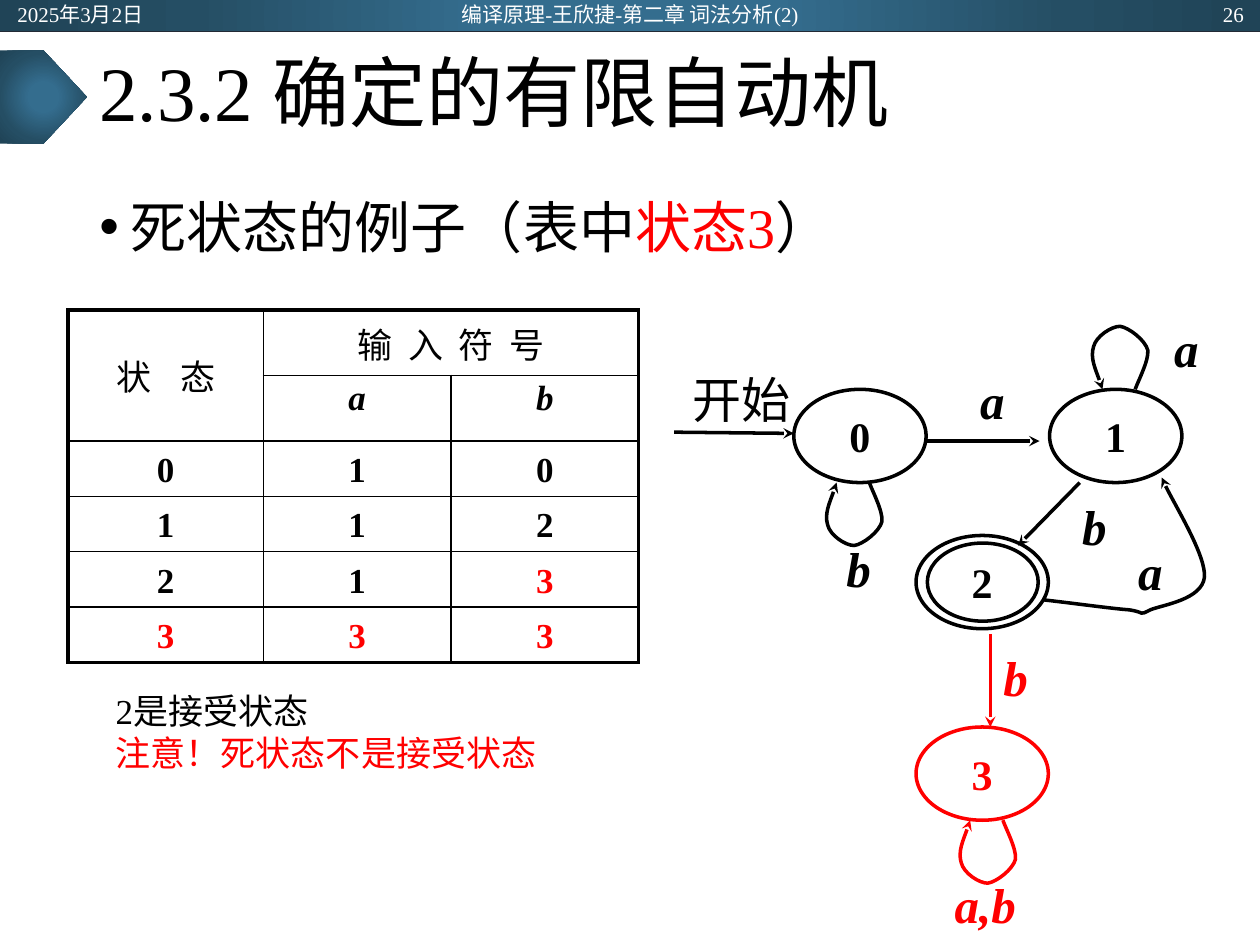
"""Build a slide on dead states in a deterministic finite automaton."""
from lxml.etree import SubElement
from pptx import Presentation
from pptx.dml.color import RGBColor
from pptx.enum.shapes import MSO_CONNECTOR, MSO_SHAPE
from pptx.enum.text import MSO_ANCHOR, PP_ALIGN
from pptx.oxml.ns import qn
from pptx.util import Inches, Pt

COLORS = {"black": "000000", "red": "FF0000", "white": "FFFFFF", "rule": "222A35",
          "light": "346D8E", "mid": "254E64", "dark": "204457"}
LATIN, CJK = "Times New Roman", "Noto Sans CJK SC"


def write(holder, text, size=28, color="black", bold=False, italic=False, align=PP_ALIGN.LEFT,
          anchor=None, inset=None, wrap=None, font=LATIN, spacing=0, new_line=False):
    frame = holder.text_frame
    if wrap is not None:
        frame.word_wrap = wrap
    if anchor is not None:
        frame.vertical_anchor = anchor
    if inset is not None:
        frame.margin_left = frame.margin_right = Inches(inset[0])
        frame.margin_top = frame.margin_bottom = Inches(inset[1])
    paragraph = frame.add_paragraph() if new_line else frame.paragraphs[-1]
    paragraph.alignment = align
    run = paragraph.add_run()
    run.text = text
    run.font.size, run.font.bold, run.font.italic = Pt(size), bold, italic
    run.font.color.rgb = RGBColor.from_string(COLORS[color])
    run.font.name = font
    properties = run.font._element
    SubElement(properties, qn("a:ea"), typeface=CJK)
    if spacing:
        properties.set("spc", str(int(spacing * 100)))
    return paragraph


def stroke(shape, color="black", width=2, arrow=False):
    shape.line.color.rgb = RGBColor.from_string(COLORS[color])
    shape.line.width = Pt(width)
    if arrow:
        SubElement(shape.line._get_or_add_ln(), qn("a:tailEnd"), type="stealth")
    SubElement(shape._element.spPr, qn("a:effectLst"))


deck = Presentation()
deck.slide_width, deck.slide_height = Inches(10), Inches(7.5)
slide = deck.slides.add_slide(deck.slide_layouts[6])
shapes = slide.shapes

for kind, at in [(MSO_SHAPE.RECTANGLE, (0, 0, 10, 0.25)),
                 (MSO_SHAPE.PENTAGON, (0, 0.4, 0.69, 0.74))]:
    band = shapes.add_shape(kind, *map(Inches, at))
    band.shadow.inherit = False
    band.line.fill.background()
    band.fill.gradient()
    gradient = band._element.spPr.find(qn("a:gradFill"))
    for child in list(gradient):
        gradient.remove(child)
    stops = SubElement(gradient, qn("a:gsLst"))
    for position, shade in [(0, "light"), (23, "light"), (69, "mid"), (97, "dark")]:
        stop = SubElement(stops, qn("a:gs"), pos=str(position * 1000))
        SubElement(stop, qn("a:srgbClr"), val=COLORS[shade])
    circle = SubElement(gradient, qn("a:path"), path="circle")
    SubElement(circle, qn("a:fillToRect"), {side: "50000" for side in "ltrb"})

header_rule = shapes.add_connector(MSO_CONNECTOR.STRAIGHT, 0, Inches(0.25), Inches(10), Inches(0.25))
stroke(header_rule, "rule", 0.5)

for text, left, width, align in [
        ("2025年3月2日", 0.04, 2.25, PP_ALIGN.LEFT),
        ("编译原理-王欣捷-第二章 词法分析(2)", 3.31, 3.38, PP_ALIGN.CENTER),
        ("26", 7.72, 2.25, PP_ALIGN.RIGHT)]:
    header = shapes.add_textbox(Inches(left), Inches(0.01), Inches(width), Inches(0.2))
    write(header, text, size=12, color="white", align=align, anchor=MSO_ANCHOR.MIDDLE, wrap=True)

title = shapes.add_textbox(Inches(0.69), Inches(0.25), Inches(8.62), Inches(1.04))
write(title, "2.3.2 确定的有限自动机", size=44, anchor=MSO_ANCHOR.MIDDLE, wrap=True).line_spacing = 0.9

example = shapes.add_textbox(Inches(0.69), Inches(1.37), Inches(8.62), Inches(6.13))
bullet = example.text_frame.paragraphs[0]._p.get_or_add_pPr()
bullet.set("marL", str(Inches(0.25)))
bullet.set("indent", str(-Inches(0.25)))
SubElement(bullet, qn("a:buFont"), typeface="Arial")
SubElement(bullet, qn("a:buChar"), char="•")
for text, color in [("死状态的例子（表中", "black"), ("状态3", "red"), ("）", "black")]:
    write(example, text, size=32, color=color, wrap=True).line_spacing = 1.2

rows = [("状 态", "输 入 符 号", ""), ("", "a", "b"),
        ("0", "1", "0"), ("1", "1", "2"), ("2", "1", "3"), ("3", "3", "3")]
transitions = shapes.add_table(6, 3, Inches(0.54), Inches(2.46), Inches(4.53), Inches(2.8)).table
transitions.first_row = transitions.horz_banding = False
for column, width in zip(transitions.columns, (1.55, 1.49, 1.49)):
    column.width = Inches(width)
for row, height in zip(transitions.rows, (0.52, 0.52, 0.44, 0.44, 0.44, 0.44)):
    row.height = Inches(height)
transitions.cell(0, 0).merge(transitions.cell(1, 0))
transitions.cell(0, 1).merge(transitions.cell(0, 2))
for r, row in enumerate(rows):
    for c, text in enumerate(row):
        cell = transitions.cell(r, c)
        side, top, bottom = [(0.12, 0.06, 0.06), (0.05, 0.03, 0.03), (0, 0.08, 0)][min(r, 2)]
        cell.margin_left = cell.margin_right = Inches(side)
        cell.margin_top, cell.margin_bottom = Inches(top), Inches(bottom)
        cell.vertical_anchor = MSO_ANCHOR.MIDDLE if r == c == 0 else MSO_ANCHOR.TOP
        if text:
            write(cell, text, size=20, color="red" if text == "3" else "black",
                  bold=r > 0, italic=r == 1, align=PP_ALIGN.CENTER,
                  font=LATIN if r else CJK, spacing=0 if r else (6, 2.2)[c])
        outer = {"L": c == 0, "R": c + cell.span_width == 3,
                 "T": r == 0, "B": r + cell.span_height == 6}
        borders = cell._tc.get_or_add_tcPr()
        for edge, is_outer in outer.items():
            border = SubElement(borders, qn(f"a:ln{edge}"), w=str(Pt(2.25 if is_outer else 1)))
            ink = SubElement(border, qn("a:solidFill"))
            SubElement(ink, qn("a:srgbClr"), val=COLORS["black"])
        cell.fill.background()

note = shapes.add_textbox(Inches(0.82), Inches(5.42), Inches(3.57), Inches(0.77))
write(note, "2是接受状态", size=20, wrap=False)
write(note, "注意！死状态不是接受状态", size=20, color="red", new_line=True)

for state, left, top, width, height, color in [
        ("0", 6.3, 3.09, 1.05, 0.74, "black"), ("1", 8.33, 3.09, 1.05, 0.74, "black"),
        ("2", 7.27, 4.25, 1.05, 0.74, "black"), ("", 7.36, 4.31, 0.88, 0.62, "black"),
        ("3", 7.27, 5.77, 1.05, 0.74, "red")]:
    node = shapes.add_shape(MSO_SHAPE.OVAL, *map(Inches, (left, top, width, height)))
    node.fill.background()
    stroke(node, color)
    if state:
        write(node, state, size=24, color=color, bold=True, align=PP_ALIGN.CENTER,
              anchor=MSO_ANCHOR.MIDDLE, inset=(0.04, 0.02), wrap=False)

for ends, color in [((5.35, 3.43, 6.3, 3.44), "black"), ((7.35, 3.5, 8.25, 3.5), "black"),
                    ((8.57, 3.83, 8.08, 4.33), "black"), ((7.86, 5.03, 7.86, 5.77), "red")]:
    move = shapes.add_connector(MSO_CONNECTOR.STRAIGHT, *map(Inches, ends))
    stroke(move, color, arrow=True)

loop = [(0, 0), (0.02, 0.06), (0.11, 0.23), (0.1, 0.31), (0.08, 0.39), (-0.05, 0.49), (-0.12, 0.5),
        (-0.19, 0.5), (-0.31, 0.42), (-0.33, 0.34), (-0.36, 0.25), (-0.28, 0.07), (-0.26, 0)]
curves = [([(x + dx, y + way * dy) for dx, dy in loop], color)
          for x, y, way, color in [(6.9, 3.83, 1, "black"), (9.01, 3.09, -1, "black"),
                                   (7.96, 6.51, 1, "red")]]
curves.append(([(8.27, 4.76), (8.54, 4.79), (8.82, 4.83), (8.96, 4.84), (9.1, 4.86), (9.03, 4.89),
                (9.13, 4.84), (9.23, 4.8), (9.54, 4.76), (9.56, 4.58), (9.57, 4.41), (9.26, 3.9),
                (9.22, 3.79)], "black"))
for points, color in curves:
    start, *rest = [(Inches(x), Inches(y)) for x, y in points]
    outline = shapes.build_freeform(*start)
    outline.add_line_segments(rest, close=False)
    curve = outline.convert_to_shape()
    curve.fill.background()
    stroke(curve, color, arrow=True)
    segments = list(curve._element.iter(qn("a:lnTo")))
    track = segments[0].getparent()
    for first in range(0, len(segments), 3):
        bezier = SubElement(track, qn("a:cubicBezTo"))
        for segment in segments[first:first + 3]:
            bezier.append(segment[0])
            track.remove(segment)

for text, left, top, width, height, color in [
        ("a", 7.6, 2.92, 0.55, 0.51, "black"), ("b", 6.54, 4.25, 0.55, 0.51, "black"),
        ("a", 9.14, 2.51, 0.55, 0.51, "black"), ("b", 8.41, 3.92, 0.55, 0.51, "black"),
        ("a", 8.96, 4.25, 0.34, 0.57, "black"), ("b", 7.89, 5.09, 0.34, 0.57, "red"),
        ("a,b", 7.5, 6.92, 0.64, 0.51, "red"), ("开始", 5.24, 2.88, 1.29, 0.57, "black")]:
    label = shapes.add_textbox(*map(Inches, (left, top, width, height)))
    is_symbol = text != "开始"
    write(label, text, color=color, bold=is_symbol, italic=is_symbol, align=PP_ALIGN.CENTER,
          anchor=MSO_ANCHOR.MIDDLE, inset=(0.04, 0.02), wrap=True)

deck.save("out.pptx")
